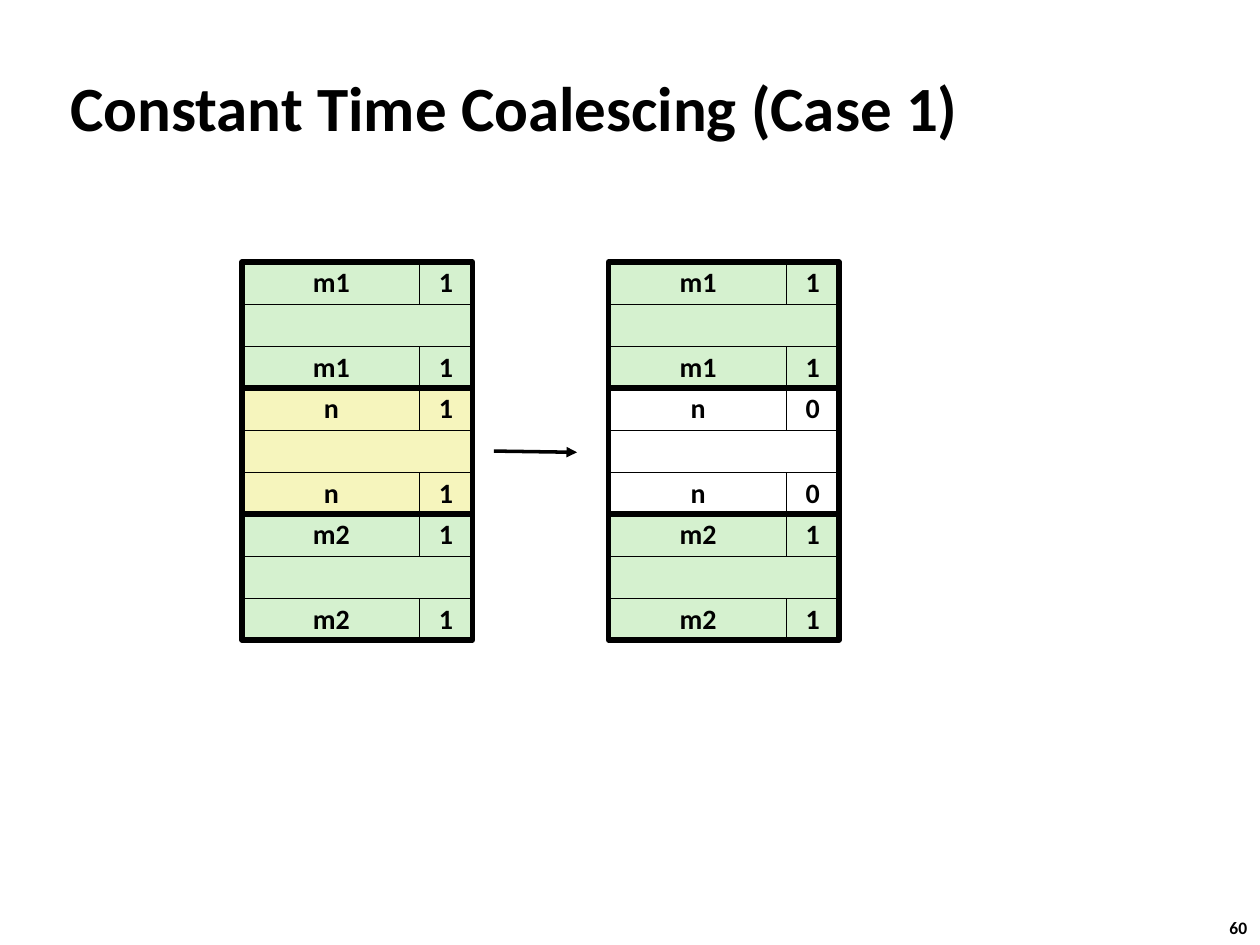
import pptx
import pptx.dml.color
import pptx.enum.shapes
import pptx.enum.text
import pptx.oxml
import pptx.util
from pptx.util import Inches

BLACK = pptx.dml.color.RGBColor(0x00, 0x00, 0x00)
WHITE = pptx.dml.color.RGBColor(0xFF, 0xFF, 0xFF)
GREEN = pptx.dml.color.RGBColor(0xD5, 0xF1, 0xCF)
YELLOW = pptx.dml.color.RGBColor(0xF6, 0xF5, 0xBD)

FONT = "Calibri"
HEAP_TOP = 2.08
ROW_HEIGHT = 1 / 3
BLOCK_HEIGHT = 3 * ROW_HEIGHT
SIZE_WIDTH = 1.42
FLAG_WIDTH = 0.42
BLOCK_WIDTH = 1.83

HEAPS = [
    (1.92, [("m1", "1", GREEN), ("n", "1", YELLOW), ("m2", "1", GREEN)]),
    (4.83, [("m1", "1", GREEN), ("n", "0", WHITE), ("m2", "1", GREEN)]),
]


def style_paragraph(paragraph, text, size):
    paragraph.text = text
    paragraph.font.name = FONT
    paragraph.font.size = pptx.util.Pt(size)
    paragraph.font.bold = True
    paragraph.font.color.rgb = BLACK


def add_text(slide, text, left, top, width, height, size, anchor, wrap):
    shape = slide.shapes.add_textbox(Inches(left), Inches(top), Inches(width), Inches(height))
    frame = shape.text_frame
    frame.word_wrap = wrap
    frame.vertical_anchor = anchor
    style_paragraph(frame.paragraphs[0], text, size)


def add_box(slide, left, top, width, height, fill, line_width, text=""):
    shape = slide.shapes.add_shape(
        pptx.enum.shapes.MSO_SHAPE.RECTANGLE,
        Inches(left), Inches(top), Inches(width), Inches(height),
    )
    shape.shadow.inherit = False
    if fill is None:
        shape.fill.background()
    else:
        shape.fill.solid()
        shape.fill.fore_color.rgb = fill
    shape.line.color.rgb = BLACK
    shape.line.width = pptx.util.Pt(line_width)
    if text:
        frame = shape.text_frame
        frame.word_wrap = False
        frame.vertical_anchor = pptx.enum.text.MSO_ANCHOR.MIDDLE
        paragraph = frame.paragraphs[0]
        style_paragraph(paragraph, text, 16)
        paragraph.alignment = pptx.enum.text.PP_ALIGN.CENTER
        paragraph.line_spacing = 0.98


def add_block(slide, left, top, size, flag, fill):
    for row in (0, 2):
        row_top = top + row * ROW_HEIGHT
        add_box(slide, left, row_top, SIZE_WIDTH, ROW_HEIGHT, fill, 0.25, size)
        flag_left = left + BLOCK_WIDTH - FLAG_WIDTH
        add_box(slide, flag_left, row_top, FLAG_WIDTH, ROW_HEIGHT, fill, 0.25, flag)
    add_box(slide, left, top + ROW_HEIGHT, BLOCK_WIDTH, ROW_HEIGHT, fill, 0.25)
    add_box(slide, left, top, BLOCK_WIDTH, BLOCK_HEIGHT, None, 3)


def add_arrow(slide, start_x, start_y, end_x, end_y):
    connector = slide.shapes.add_connector(
        pptx.enum.shapes.MSO_CONNECTOR.STRAIGHT,
        Inches(start_x), Inches(start_y), Inches(end_x), Inches(end_y),
    )
    connector.line.color.rgb = BLACK
    connector.line.width = pptx.util.Pt(2)
    line = connector.line._get_or_add_ln()
    line.append(pptx.oxml.parse_xml(
        '<a:tailEnd xmlns:a="http://schemas.openxmlformats.org/drawingml/2006/main" type="triangle"/>'
    ))
    line.addnext(pptx.oxml.parse_xml(
        '<a:effectLst xmlns:a="http://schemas.openxmlformats.org/drawingml/2006/main"/>'
    ))


def main():
    presentation = pptx.Presentation()
    presentation.slide_width = Inches(10)
    presentation.slide_height = Inches(7.5)
    slide = presentation.slides.add_slide(presentation.slide_layouts[6])

    anchors = pptx.enum.text.MSO_ANCHOR
    add_text(slide, "Constant Time Coalescing (Case 1)",
             0.46, 0.53, 9.08, 0.63, 36, anchors.MIDDLE, True)
    for left, blocks in HEAPS:
        for index, (size, flag, fill) in enumerate(blocks):
            add_block(slide, left, HEAP_TOP + index * BLOCK_HEIGHT, size, flag, fill)
    add_arrow(slide, 3.92, 3.58, 4.58, 3.59)
    add_text(slide, "60", 9.66, 7.23, 0.37, 0.27, 10, anchors.TOP, False)

    presentation.save("out.pptx")


if __name__ == "__main__":
    main()
